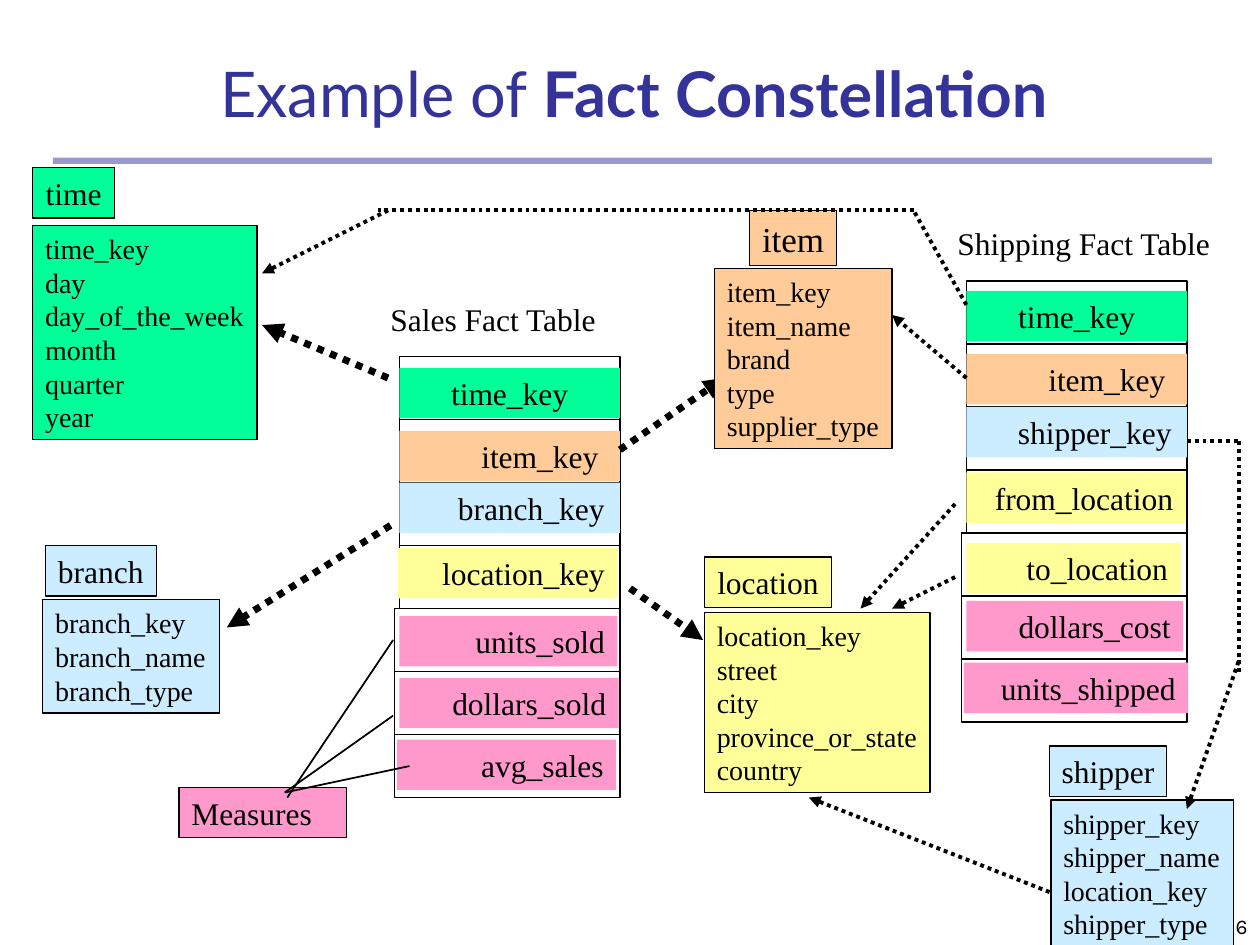
"""Build the fact constellation schema slide."""
from lxml import etree
from pptx import Presentation
from pptx.dml.color import RGBColor
from pptx.enum.dml import MSO_LINE
from pptx.enum.shapes import MSO_CONNECTOR, MSO_SHAPE
from pptx.enum.text import MSO_ANCHOR, PP_ALIGN
from pptx.oxml.ns import qn
from pptx.util import Inches, Pt

LEFT, CENTER, RIGHT = PP_ALIGN.LEFT, PP_ALIGN.CENTER, PP_ALIGN.RIGHT
TOP, MIDDLE, BOTTOM = MSO_ANCHOR.TOP, MSO_ANCHOR.MIDDLE, MSO_ANCHOR.BOTTOM
RECTANGLE, STRAIGHT = MSO_SHAPE.RECTANGLE, MSO_CONNECTOR.STRAIGHT
DOTTED = MSO_LINE.ROUND_DOT

BLACK, NAVY, RULE = "000000", "333399", "9999CC"
GREEN, ORANGE, BLUE, YELLOW, PINK = "00FF99", "FFCC99", "CCECFF", "FFFF99", "FF99CC"
SERIF = "Times New Roman"
FRAME, HAIR, THIN, THICK = 1, 0.75, 2.25, 4

TITLE = [("Example of ", False), ("Fact Constellation", True)]
PAGE_NUMBER = "16"

ROW, KEY_ROWS, KEY_WIDTH, OUTDENT = 0.5, 4, 1.75, 0.04
FACTS = [
    {"caption": "Sales Fact Table", "caption_at": (3, 2.33, 1.85, 0.4), "corner": (3.17, 2.83),
     "rows": [("time_key", GREEN, 0, 0.09, 1.75), ("item_key", ORANGE, 0, 0.09, 1.75),
              ("branch_key", BLUE, 0, 0, 1.75), ("location_key", YELLOW, -0.01, 0.02, 1.74),
              ("units_sold", PINK, 0, 0.06, 1.73), ("dollars_sold", PINK, 0, 0.05, 1.74),
              ("avg_sales", PINK, -0.02, 0.04, 1.74)]},
    {"caption": "Shipping Fact Table", "caption_at": (7.5, 1.73, 2.23, 0.4), "corner": (7.67, 2.23),
     "rows": [("time_key", GREEN, 0, 0.08, 1.75), ("item_key", ORANGE, 0, 0.08, 1.75),
              ("shipper_key", BLUE, 0, 0, 1.75), ("from_location", YELLOW, 0, 0.02, 1.74),
              ("to_location", YELLOW, 0, 0.08, 1.7), ("dollars_cost", PINK, 0, 0.04, 1.72),
              ("units_shipped", PINK, -0.02, 0.03, 1.78)]},
]
RIGHT_INSETS = {"item_key": 0.17, "branch_key": 0.12, "shipper_key": 0.12}

DIMENSIONS = [
    ("time", GREEN, 18, (0.26, 1.33, 0.65, 0.4), (0.26, 1.79, 1.78, 1.7),
     ["time_key", "day", "day_of_the_week", "month", "quarter", "year"]),
    ("location", YELLOW, 18, (5.59, 4.42, 1.01, 0.4), (5.59, 4.86, 1.79, 1.43),
     ["location_key", "street", "city", "province_or_state", "country"]),
    ("item", ORANGE, 20, (5.95, 1.67, 0.69, 0.44), (5.67, 2.13, 1.41, 1.43),
     ["item_key", "item_name", "brand", "type", "supplier_type"]),
    ("branch", BLUE, 18, (0.36, 4.33, 0.88, 0.4), (0.34, 4.76, 1.4, 0.9),
     ["branch_key", "branch_name", "branch_type"]),
    ("shipper", BLUE, 18, (8.33, 5.92, 0.93, 0.4), (8.34, 6.35, 1.45, 1.17),
     ["shipper_key", "shipper_name", "location_key", "shipper_type"]),
]
MEASURES = ("Measures", PINK, (1.42, 6.25, 1.33, 0.4))

SALES_ARROWS = [((3.1, 4.17), (1.8, 4.98)), ((3.08, 3), (2.08, 2.58)),
                ((5, 4.67), (5.58, 5.08)), ((4.92, 3.57), (5.75, 3))]
SHIPPING_ARROWS = [((3.08, 1.67), (2.08, 2.17)), ((7.67, 3), (7.08, 2.5)),
                   ((7.58, 4), (6.83, 4.83)), ((7.58, 4.58), (7.08, 4.83)),
                   ((9.83, 5.25), (9.42, 6.42)), ((8.33, 7.08), (6.42, 6.33))]
SHIPPING_PATHS = [((7.67, 2.42), (7.25, 1.67)), ((7.25, 1.67), (3, 1.67)),
                  ((9.42, 3.5), (9.83, 3.5)), ((9.83, 3.5), (9.83, 5.33))]
MEASURE_LINES = [((2.28, 6.33), (3.12, 5.08)), ((2.26, 6.29), (3.12, 5.68)),
                 ((2.26, 6.29), (3.25, 6.08))]

prs = Presentation()
prs.slide_width, prs.slide_height = Inches(10), Inches(7.5)
slide = prs.slides.add_slide(prs.slide_layouts[6])


def rgb(color):
    return RGBColor.from_string(color)


def style(run, size, font=SERIF, color=BLACK, bold=False):
    run.font.size, run.font.name, run.font.bold = Pt(size), font, bold
    run.font.color.rgb = rgb(color)


def write(shape, lines, size, align=LEFT, wrap=True, anchor=TOP, font=SERIF, right=0.1):
    frame = shape.text_frame
    frame.text = "\n".join(lines)
    frame.word_wrap, frame.vertical_anchor = wrap, anchor
    frame.margin_right = Inches(right)
    for paragraph in frame.paragraphs:
        paragraph.alignment = align
        for run in paragraph.runs:
            style(run, size, font)


def text_box(at):
    return slide.shapes.add_textbox(*map(Inches, at))


def box(at, fill=None, border=None):
    shape = slide.shapes.add_shape(RECTANGLE, *map(Inches, at))
    shape.shadow.inherit = False
    if fill:
        shape.fill.solid()
        shape.fill.fore_color.rgb = rgb(fill)
    else:
        shape.fill.background()
    if border:
        shape.line.color.rgb = rgb(BLACK)
        shape.line.width = Pt(border)
    else:
        shape.line.fill.background()
    return shape


def connect(ends, width, dotted=True, arrow=False):
    (x1, y1), (x2, y2) = ends
    link = slide.shapes.add_connector(STRAIGHT, *map(Inches, (x1, y1, x2, y2)))
    link.line.color.rgb = rgb(BLACK)
    link.line.width = Pt(width)
    if dotted:
        link.line.dash_style = DOTTED
    if arrow:
        etree.SubElement(link.line._get_or_add_ln(), qn("a:tailEnd"), type="triangle")
    etree.SubElement(link._element.spPr, qn("a:effectLst"))


def fact_table(fact):
    caption = text_box(fact["caption_at"])
    write(caption, [fact["caption"]], 18, wrap=False)
    left, top = fact["corner"]
    for index, (field, color, shift, drop, width) in enumerate(fact["rows"]):
        y = top + index * ROW
        outdent = 0 if index < KEY_ROWS else OUTDENT
        box((left - outdent, y, KEY_WIDTH + outdent, ROW), border=FRAME)
        bar = box((left + shift, y + drop, width, 0.4), color)
        write(bar, [field], 18, RIGHT if index else CENTER,
              right=RIGHT_INSETS.get(field, 0.1))


box((0.42, 1.25, 9.2, 0.05), RULE)
write(text_box((7.92, 7, 2.08, 0.5)), [PAGE_NUMBER], 12, RIGHT, anchor=BOTTOM, font="Karla")

heading = text_box((1.22, 0.33, 7.62, 0.75)).text_frame
heading.word_wrap, heading.vertical_anchor = True, BOTTOM
heading.paragraphs[0].alignment = CENTER
for words, bold in TITLE:
    part = heading.paragraphs[0].add_run()
    part.text = words
    style(part, 36, "Lato", NAVY, bold)

for fact in FACTS:
    fact_table(fact)
for ends in SALES_ARROWS:
    connect(ends, THICK, arrow=True)

for name, color, size, name_at, fields_at, fields in DIMENSIONS:
    write(box(fields_at, color, HAIR), fields, 16, wrap=False)
    write(box(name_at, color, HAIR), [name], size, CENTER, wrap=False, anchor=MIDDLE)
label, color, label_at = MEASURES
write(box(label_at, color, HAIR), [label], 18)

for ends in MEASURE_LINES:
    connect(ends, FRAME, dotted=False)
for ends in SHIPPING_PATHS:
    connect(ends, THIN)
for ends in SHIPPING_ARROWS:
    connect(ends, THIN, arrow=True)

prs.save("out.pptx")
